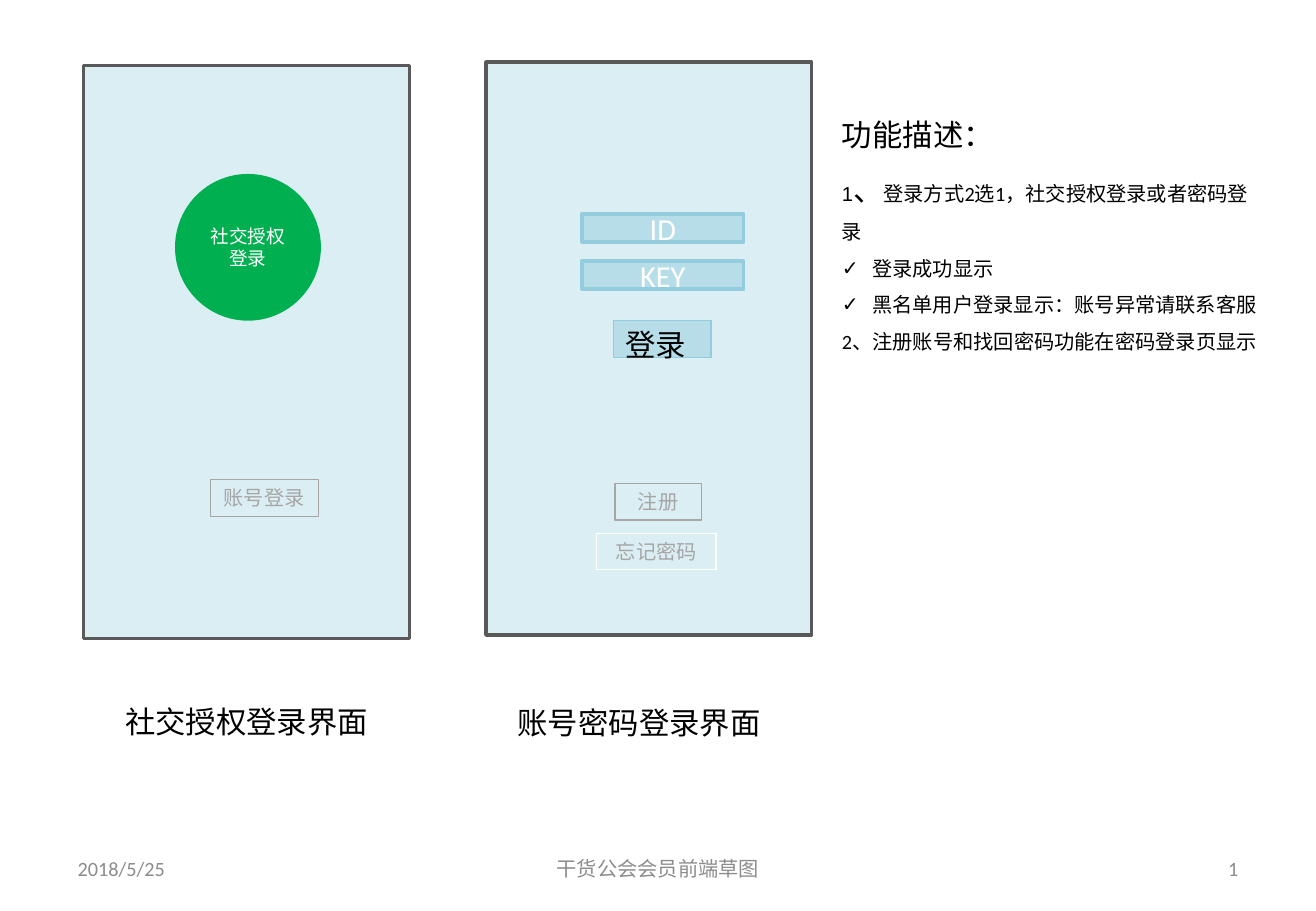
from pptx import Presentation
from pptx.util import Inches, Pt
from pptx.dml.color import RGBColor
from pptx.enum.shapes import MSO_SHAPE
from pptx.enum.text import MSO_ANCHOR, PP_ALIGN
from pptx.oxml.ns import qn
from lxml import etree

RECT, OVAL = MSO_SHAPE.RECTANGLE, MSO_SHAPE.OVAL
TOP, MID = MSO_ANCHOR.TOP, MSO_ANCHOR.MIDDLE
LEFT, CENTER, RIGHT = PP_ALIGN.LEFT, PP_ALIGN.CENTER, PP_ALIGN.RIGHT
BLACK = RGBColor(0, 0, 0)
WHITE = RGBColor(0xFF, 0xFF, 0xFF)
PALE = RGBColor(0xDB, 0xEE, 0xF4)
AQUA = RGBColor(0xB7, 0xDE, 0xE8)
TEAL = RGBColor(0x93, 0xCD, 0xDD)
DARK = RGBColor(0x59, 0x59, 0x59)
GRAY = RGBColor(0xA6, 0xA6, 0xA6)
MUTED = RGBColor(0x8C, 0x8C, 0x8C)
GREEN = RGBColor(0, 0xB0, 0x50)
FONT = "Calibri"


def place(box, x, y, w, h):
    left, top, wide, high = box
    return (left + wide * x / 100, top + high * y / 100,
            wide * w / 100, high * h / 100)


def style(run, size, color, font=FONT):
    run.font.size = Pt(size)
    run.font.name = font
    run.font.color.rgb = color


def write(shape, text, size, color, align=LEFT, anchor=TOP):
    frame = shape.text_frame
    frame.word_wrap = True
    frame.vertical_anchor = anchor
    frame.text = text
    para = frame.paragraphs[0]
    para.alignment = align
    style(para.runs[0], size, color)


def add_text(slide, box, *look):
    write(slide.shapes.add_textbox(*map(Inches, box)), *look)


def add_block(slide, box, fill=None, line=None, width=0.75, kind=RECT):
    shape = slide.shapes.add_shape(kind, *map(Inches, box))
    shape.shadow.inherit = False
    if fill is None:
        shape.fill.background()
    else:
        shape.fill.solid()
        shape.fill.fore_color.rgb = fill
    if line is None:
        shape.line.fill.background()
    else:
        shape.line.color.rgb = line
        shape.line.width = Pt(width)
    return shape


def add_link(slide, box, text, line):
    write(add_block(slide, box, line=line), text, 12, GRAY, CENTER)


def add_phone(slide, box, title, x, y):
    add_block(slide, box, PALE, DARK, 2)
    add_text(slide, place(box, x, y, 88.4, 8.5), title, 18, BLACK)


def add_grant(slide, box):
    add_phone(slide, box, "社交授权登录界面", 9, 110.2)
    disc = add_block(slide, place(box, 28, 18.9, 44.8, 25.6), GREEN, kind=OVAL)
    write(disc, "社交授权登录", 11, WHITE, CENTER, MID)
    add_link(slide, place(box, 38.8, 72.2, 33.2, 6.4), "账号登录", GRAY)


def add_login(slide, box):
    add_phone(slide, box, "账号密码登录界面", 6, 111)
    for row, name in enumerate(("ID", "KEY")):
        spot = place(box, 29.5, 26.5 + row * 8.2, 49.6, 4.9)
        write(add_block(slide, spot, AQUA, TEAL, 2), name, 18, WHITE, CENTER, MID)
    button = add_block(slide, place(box, 39.2, 45.1, 29.9, 6.4), AQUA, TEAL)
    write(button, "登录", 18, BLACK)
    add_link(slide, place(box, 39.6, 73.5, 26.5, 6.4), "注册", GRAY)
    add_link(slide, place(box, 34, 82.2, 36.6, 6.4), "忘记密码", WHITE)


def add_check(para):
    props = para._p.get_or_add_pPr()
    props.set("marL", str(Inches(0.25)))
    props.set("indent", str(Inches(-0.25)))
    etree.SubElement(props, qn("a:buFont")).set("typeface", "Arial")
    etree.SubElement(props, qn("a:buChar")).set("char", "✓")


def add_notes(slide, box):
    frame = slide.shapes.add_textbox(*map(Inches, box)).text_frame
    frame.word_wrap = True
    head = frame.paragraphs[0]
    head.line_spacing = 1.5
    head.text = "功能描述：\v"
    style(head.runs[0], 18, BLACK)
    for text, size, font in (
        ("1", 12, "Arial"),
        ("、", 18, FONT),
        ("登录方式2选1，社交授权登录或者密码登录", 12, FONT),
    ):
        run = head.add_run()
        run.text = text
        style(run, size, BLACK, font)
    for text, check in (
        ("登录成功显示", True),
        ("黑名单用户登录显示：账号异常请联系客服", True),
        ("2、注册账号和找回密码功能在密码登录页显示", False),
    ):
        para = frame.add_paragraph()
        para.text = text
        para.line_spacing = 1.5
        style(para.runs[0], 12, BLACK)
        if check:
            add_check(para)


def add_foot(slide, box):
    for x, w, text, align in (
        (4.99, 23.36, "2018/5/25", LEFT),
        (34.16, 31.67, "干货公会会员前端草图", CENTER),
        (71.65, 23.36, "1", RIGHT),
    ):
        add_text(slide, place(box, x, 0, w, 100), text, 12, MUTED, align, MID)


def main():
    deck = Presentation()
    page = (0, 0, 10.83, 7.5)
    deck.slide_width, deck.slide_height = map(Inches, page[2:])
    slide = deck.slides.add_slide(deck.slide_layouts[6])
    add_grant(slide, place(page, 6.37, 7.2, 24.75, 62.93))
    add_login(slide, place(page, 36.93, 6.8, 24.75, 62.93))
    add_notes(slide, place(page, 63.07, 10.13, 34.07, 37.73))
    add_foot(slide, place(page, 0, 92.67, 100, 5.33))
    deck.save("out.pptx")


if __name__ == "__main__":
    main()
